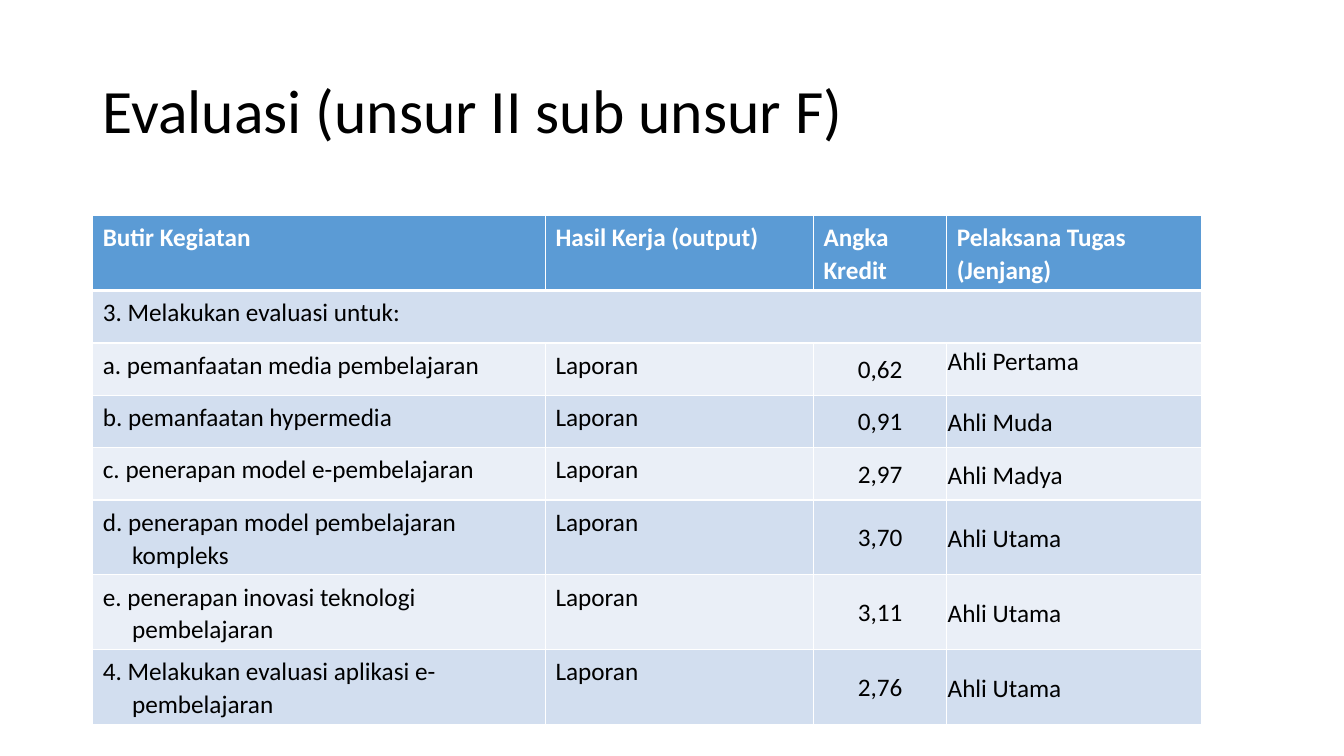
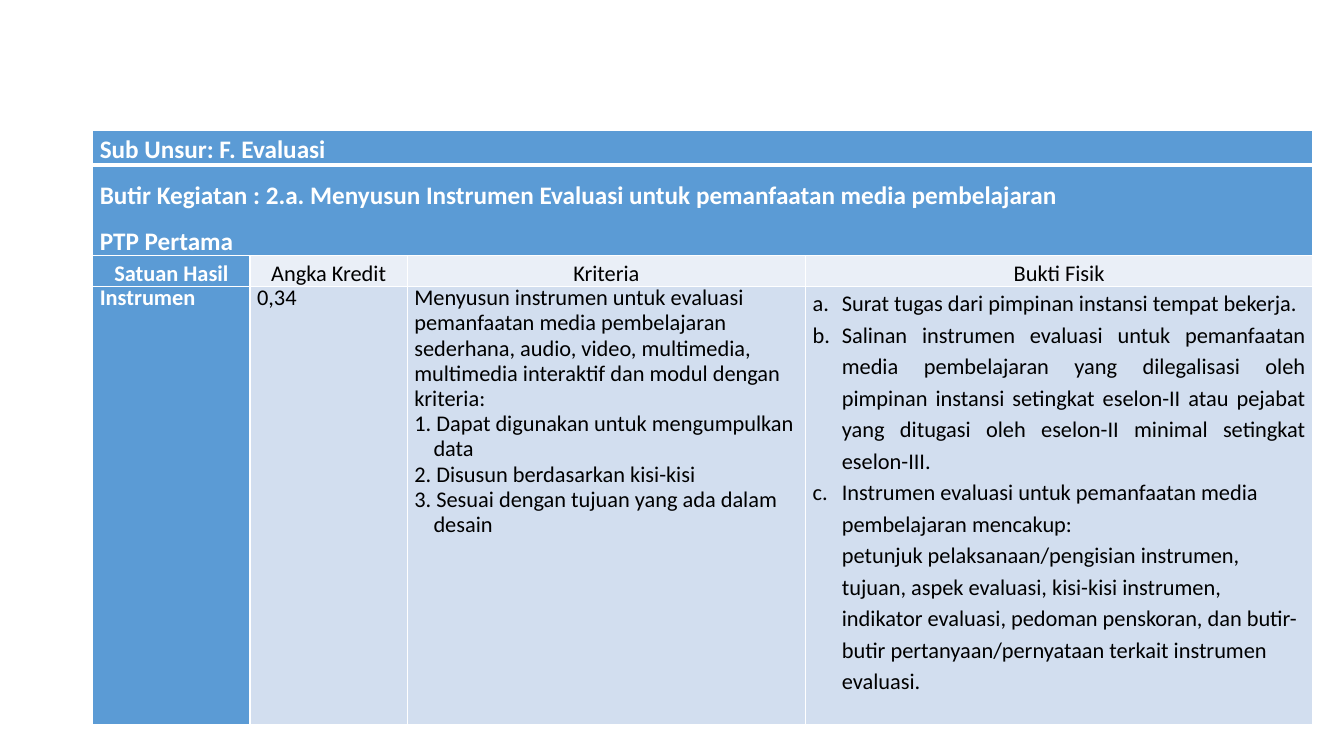
from dataclasses import dataclass

import pptx
import pptx.dml.color
import pptx.enum.text
import pptx.oxml
import pptx.oxml.ns
import pptx.util
from lxml import etree

Inches = pptx.util.Inches
Pt = pptx.util.Pt
ALIGN = pptx.enum.text.PP_ALIGN
ANCHOR = pptx.enum.text.MSO_ANCHOR


@dataclass(frozen=True)
class Theme:
    font: str = "Calibri"
    ink: str = "000000"
    paper: str = "FFFFFF"
    accent: str = "5B9BD5"
    band_dark: str = "D2DEEF"
    band_light: str = "EAEFF7"
    title_size: int = 44
    text_size: int = 18
    small_size: int = 16
    rule: int = 1
    header_rule: int = 3


THEME = Theme()
NORMAL_INSET = (0.1, 0.05, 0.1, 0.05)
TIGHT_INSET = (0.01, 0.01, 0.01, 0)
FORM_INSET = (0.07, 0, 0.07, 0)


def rgb(value):
    return pptx.dml.color.RGBColor.from_string(value)


def write(paragraph, text, size=THEME.text_size, color=THEME.ink, bold=False,
          align=ALIGN.LEFT, line=1.0, after=0, margin=0, hang=0):
    """Fill a paragraph; margin and hang are inches, line a factor or a length."""
    run = paragraph.add_run()
    run.text = text
    run.font.name = THEME.font
    run.font.size = Pt(size)
    run.font.bold = bold
    run.font.color.rgb = rgb(color)
    paragraph.alignment = align
    paragraph.line_spacing = line
    paragraph.space_before = Pt(0)
    paragraph.space_after = Pt(after)
    properties = paragraph._p.get_or_add_pPr()
    properties.set("marL", str(Inches(margin)))
    properties.set("indent", str(-Inches(hang)))


def write_all(frame, lines, **style):
    """Write one paragraph per line; a line is a text or (text, own format)."""
    for index, entry in enumerate(lines):
        text, own = (entry, {}) if isinstance(entry, str) else entry
        paragraph = frame.add_paragraph() if index else frame.paragraphs[0]
        write(paragraph, text, **{**style, **own})


def set_borders(cell, top, bottom):
    properties = cell._tc.get_or_add_tcPr()
    widths = {"a:lnL": THEME.rule, "a:lnR": THEME.rule, "a:lnT": top, "a:lnB": bottom}
    for tag, width in widths.items():
        edge = etree.SubElement(properties, pptx.oxml.ns.qn(tag), w=str(Pt(width)))
        solid = etree.SubElement(edge, pptx.oxml.ns.qn("a:solidFill"))
        etree.SubElement(solid, pptx.oxml.ns.qn("a:srgbClr"), val=THEME.paper)


class Deck:
    def __init__(self):
        self.presentation = pptx.Presentation()
        self.presentation.slide_width = Inches(13.33)
        self.presentation.slide_height = Inches(7.5)
        self.slide = None

    def new_slide(self):
        self.slide = self.presentation.slides.add_slide(self.presentation.slide_layouts[6])

    def title(self, text):
        box = self.slide.shapes.add_textbox(Inches(0.92), Inches(0.4), Inches(11.5), Inches(1.45))
        box.text_frame.word_wrap = True
        box.text_frame.vertical_anchor = ANCHOR.MIDDLE
        write_all(box.text_frame, [text], size=THEME.title_size, line=0.9)

    def table(self, top, columns, rows):
        """Add a table with white rules and a thick one below the first row."""
        table = self.slide.shapes.add_table(
            len(rows), len(columns), Inches(0.92), Inches(top),
            Inches(sum(columns)), Inches(sum(rows))).table
        table.first_row = table.horz_banding = False
        for column, width in zip(table.columns, columns):
            column.width = Inches(width)
        for index, (row, height) in enumerate(zip(table.rows, rows)):
            row.height = Inches(height)
            for cell in row.cells:
                set_borders(cell,
                            THEME.header_rule if index == 1 else THEME.rule,
                            THEME.header_rule if index == 0 else THEME.rule)
        return table

    def cell(self, cell, lines, fill, inset=NORMAL_INSET, anchor=ANCHOR.TOP, **style):
        cell.fill.solid()
        cell.fill.fore_color.rgb = rgb(fill)
        cell.margin_left, cell.margin_top, cell.margin_right, cell.margin_bottom = map(Inches, inset)
        cell.vertical_anchor = anchor
        if fill == THEME.accent:
            style = {"color": THEME.paper, "bold": True, **style}
        write_all(cell.text_frame, lines, **style)

    def wide_cell(self, table, row, lines, fill, **style):
        first = table.cell(row, 0)
        first.merge(table.cell(row, len(table.columns) - 1))
        self.cell(first, lines, fill, **style)


def add_credit_slide(deck):
    headings = ["Butir Kegiatan", "Hasil Kerja (output)", "Angka Kredit", "Pelaksana Tugas (Jenjang)"]
    activities = [
        ("a. pemanfaatan media pembelajaran", "0,62", "Ahli Pertama"),
        ("b. pemanfaatan hypermedia", "0,91", "Ahli Muda"),
        ("c. penerapan model e-pembelajaran", "2,97", "Ahli Madya"),
        ("d. penerapan model pembelajaran kompleks", "3,70", "Ahli Utama"),
        ("e. penerapan inovasi teknologi pembelajaran", "3,11", "Ahli Utama"),
        ("4. Melakukan evaluasi aplikasi e-pembelajaran", "2,76", "Ahli Utama"),
    ]
    spacing = {"line": 1.07, "after": 8}
    deck.new_slide()
    deck.title("Evaluasi (unsur II sub unsur F)")
    table = deck.table(2.14, [4.49, 2.66, 1.32, 2.53], [0.52] * (len(activities) + 2))
    for column, heading in enumerate(headings):
        deck.cell(table.cell(0, column), [heading], THEME.accent, **spacing)
    deck.wide_cell(table, 1, ["3. Melakukan evaluasi untuk:"], THEME.band_dark, **spacing)
    for row, (activity, credit, level) in enumerate(activities, start=2):
        fill = THEME.band_dark if row % 2 else THEME.band_light
        level_anchor = ANCHOR.TOP if row == 2 else ANCHOR.MIDDLE
        deck.cell(table.cell(row, 0), [activity], fill, margin=0.29, hang=0.29, **spacing)
        deck.cell(table.cell(row, 1), ["Laporan"], fill, **spacing)
        deck.cell(table.cell(row, 2), [credit], fill, inset=TIGHT_INSET,
                  anchor=ANCHOR.MIDDLE, align=ALIGN.CENTER)
        deck.cell(table.cell(row, 3), [level], fill, inset=TIGHT_INSET,
                  anchor=level_anchor, **spacing)


def add_instrument_slide(deck):
    criterion = {"margin": 0.19, "hang": 0.19}
    evidence = {"margin": 0.29, "hang": 0.29}
    criteria = [
        "Menyusun instrumen untuk evaluasi pemanfaatan media pembelajaran sederhana, audio, "
        "video, multimedia, multimedia interaktif dan modul dengan kriteria:",
        ("1. Dapat digunakan untuk mengumpulkan data", criterion),
        ("2. Disusun berdasarkan kisi-kisi", criterion),
        ("3. Sesuai dengan tujuan yang ada dalam desain", criterion),
    ]
    proofs = [
        ("a.\tSurat tugas dari pimpinan instansi tempat bekerja.", evidence),
        ("b.\tSalinan instrumen evaluasi untuk pemanfaatan media pembelajaran yang dilegalisasi "
         "oleh pimpinan instansi setingkat eselon-II atau pejabat yang ditugasi oleh eselon-II "
         "minimal setingkat eselon-III.", {**evidence, "align": ALIGN.JUSTIFY}),
        ("c.\tInstrumen evaluasi untuk pemanfaatan media pembelajaran mencakup:", evidence),
        ("petunjuk pelaksanaan/pengisian instrumen, tujuan, aspek evaluasi, kisi-kisi instrumen, "
         "indikator evaluasi, pedoman penskoran, dan butir-butir pertanyaan/pernyataan terkait "
         "instrumen evaluasi.", {"margin": 0.29}),
    ]
    form = {"inset": FORM_INSET}
    small = {**form, "size": THEME.small_size}
    fixed = {**small, "line": Pt(18)}
    deck.new_slide()
    table = deck.table(1.29, [1.56, 1.56, 3.95, 5.03], [0.32, 0.84, 0.29, 4.35])
    deck.wide_cell(table, 0, ["Sub Unsur: F. Evaluasi"], THEME.accent,
                   align=ALIGN.JUSTIFY, line=1.15, after=10, **form)
    deck.wide_cell(table, 1, [
        "Butir Kegiatan : 2.a. Menyusun Instrumen Evaluasi untuk pemanfaatan media pembelajaran",
        "PTP Pertama",
    ], THEME.accent, align=ALIGN.JUSTIFY, line=1.5, **form)
    for column, heading in enumerate(["Satuan Hasil", "Angka Kredit", "Kriteria", "Bukti Fisik"]):
        deck.cell(table.cell(2, column), [heading], THEME.band_light if column else THEME.accent,
                  align=ALIGN.CENTER, line=1.15, after=10, **small)
    deck.cell(table.cell(3, 0), ["Instrumen"], THEME.accent, align=ALIGN.JUSTIFY, **fixed)
    deck.cell(table.cell(3, 1), ["0,34"], THEME.band_dark, align=ALIGN.JUSTIFY, **fixed)
    deck.cell(table.cell(3, 2), criteria, THEME.band_dark, **fixed)
    deck.cell(table.cell(3, 3), proofs, THEME.band_dark, line=1.15, **small)


def main():
    deck = Deck()
    add_credit_slide(deck)
    add_instrument_slide(deck)
    deck.presentation.save("out.pptx")


if __name__ == "__main__":
    main()
